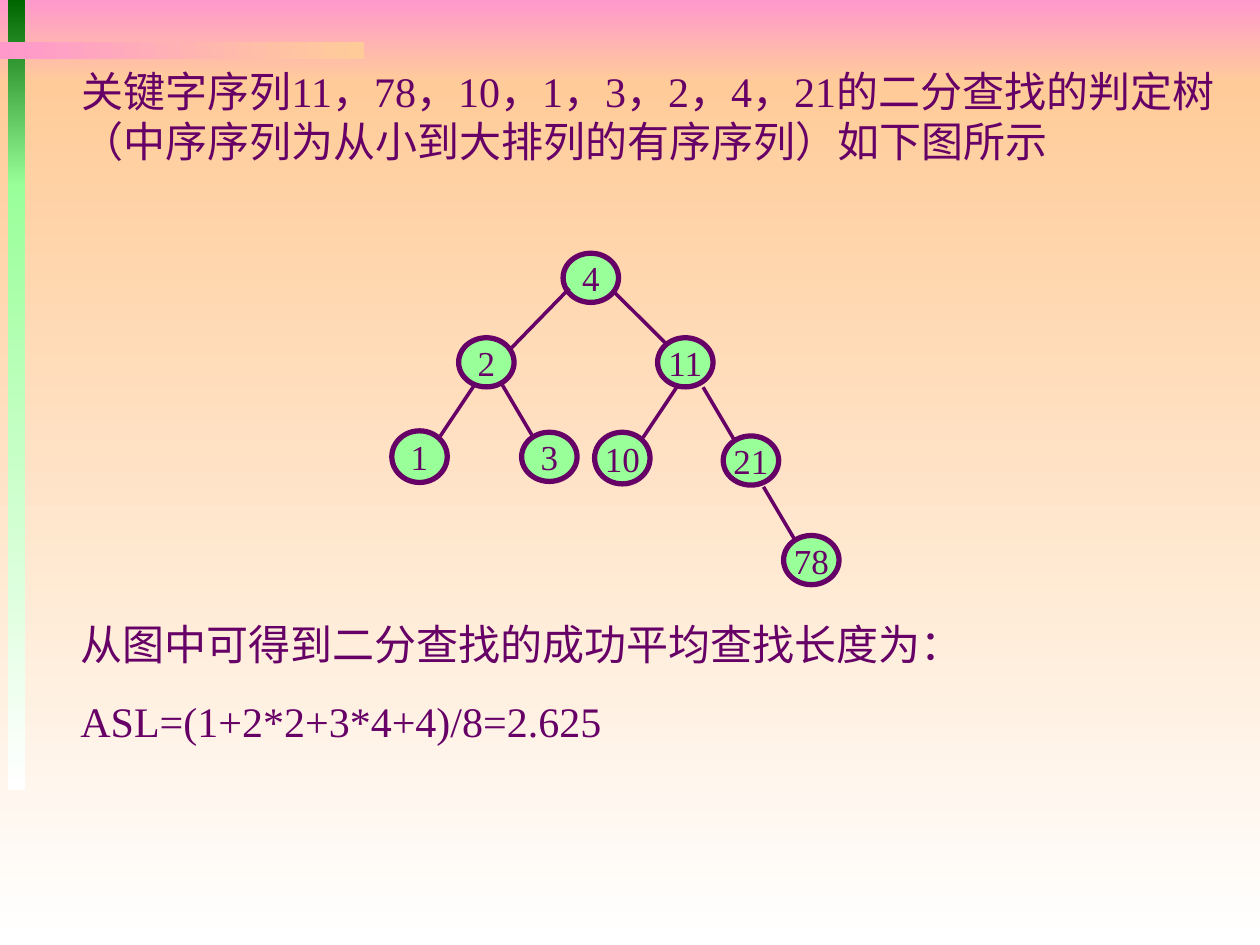
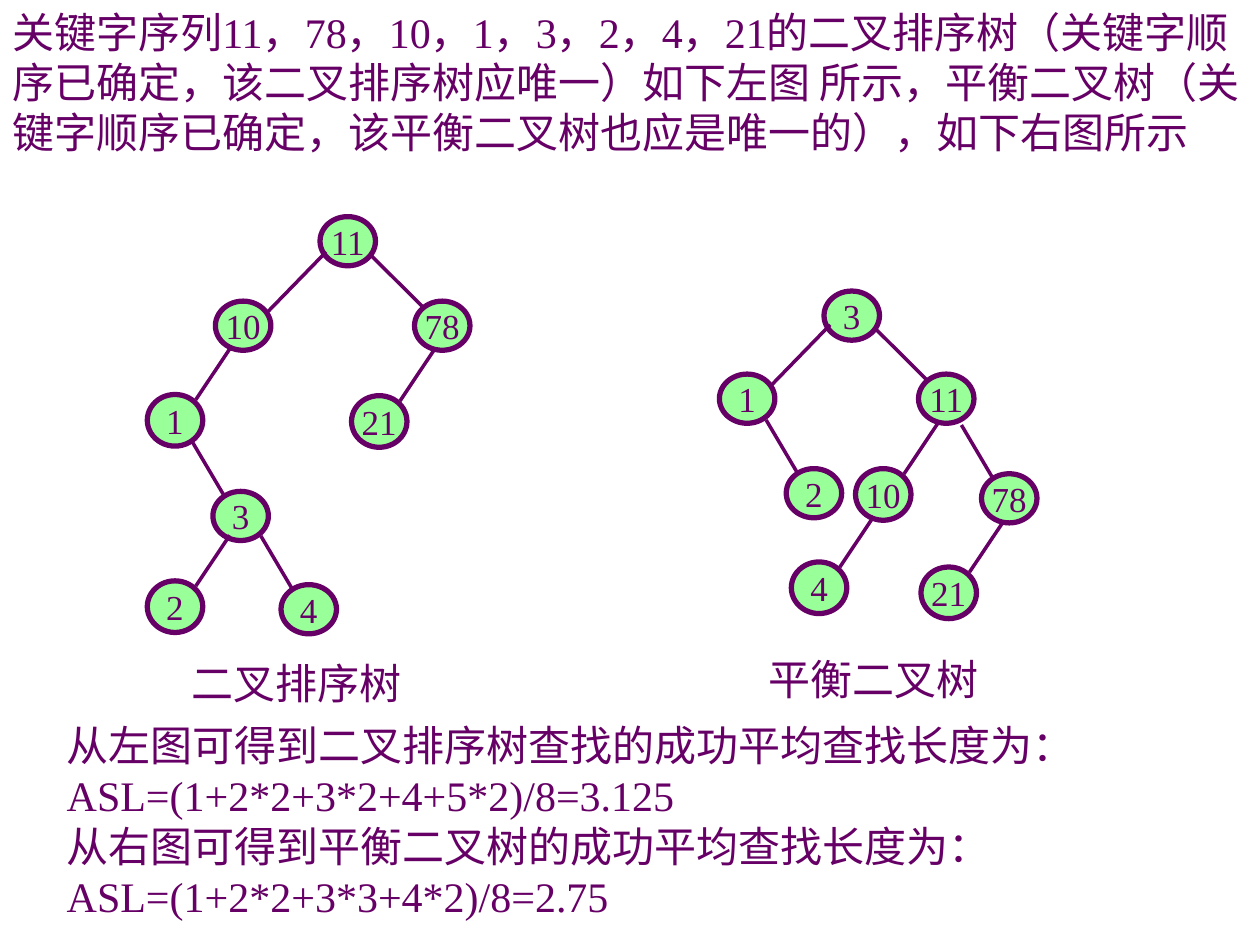
from lxml import etree
from pptx import Presentation
from pptx.dml.color import RGBColor
from pptx.enum import shapes, text
from pptx.oxml import ns
from pptx.util import Pt

COLORS = {
    "ink": "660066",
    "node": "99FF99",
    "forest": "006600",
    "pink": "FF99CC",
    "peach": "FFCC99",
    "white": "FFFFFF",
}
FONT = "Times New Roman"
DOWN, ACROSS = 270, 0
NODE_WIDTH = 31.7

# branch: node height, edge end measured from the child, edge run
BRANCHES = {
    "root": (28.1, None, None),
    "wide left": (28.1, (30.2, 5.8), (-33.1, 34)),
    "wide right": (28.1, (5, 3.6), (30, 29.9)),
    "left": (29.5, (27.7, 3), (-19.4, 29)),
    "right": (28.1, (6, 1.8), (17.5, 29.6)),
}

DECISION_TREE = [
    ("4", "root", 321.8, 144.7),
    ("2", "wide left", 262.1, 193),
    ("11", "wide right", 375.8, 193),
    ("1", "left", 223.9, 246.2),
    ("3", "right", 298.1, 247),
    ("10", "left", 339.8, 247),
    ("21", "right", 413.3, 249.1),
    ("78", "right", 447.8, 306),
]
SORT_TREE = [
    ("11", "root", 182.9, 123.8),
    ("10", "wide left", 123.1, 172.1),
    ("78", "wide right", 236.9, 172.1),
    ("1", "left", 84.2, 225.4),
    ("21", "left", 200.9, 226.1),
    ("3", "right", 121.7, 280.8),
    ("2", "left", 84.2, 331.9),
    ("4", "right", 160.6, 334.1),
]
BALANCED_TREE = [
    ("3", "root", 470.9, 166.3),
    ("1", "wide left", 411.1, 213.8),
    ("11", "wide right", 524.9, 213.8),
    ("2", "right", 449.3, 267.8),
    ("10", "left", 488.9, 267.8),
    ("78", "right", 560.9, 270.7),
    ("4", "left", 452.2, 321.1),
    ("21", "left", 526.3, 324),
]


def color(name):
    return RGBColor.from_string(COLORS[name])


class Painter:
    def __init__(self, deck):
        self.deck = deck
        self.page = None

    def new_page(self):
        self.page = self.deck.slides.add_slide(self.deck.slide_layouts[6])

    def style(self, para, size, align):
        para.alignment = align
        para.font.name = FONT
        para.font.size = Pt(size)
        para.font.color.rgb = color("ink")

    def band(self, left, top, width, height, start, end, angle=DOWN):
        band = self.page.shapes.add_shape(
            shapes.MSO_SHAPE.RECTANGLE, Pt(left), Pt(top), Pt(width), Pt(height))
        band.shadow.inherit = False
        band.line.fill.background()
        band.fill.gradient()
        band.fill.gradient_angle = angle
        for stop, name in zip(band.fill.gradient_stops, (start, end)):
            stop.color.rgb = color(name)

    def backdrop(self):
        self.band(0, 0, 720, 48, "pink", "peach")
        self.band(0, 48, 720, 492, "peach", "white")
        self.band(4.3, 0, 10, 106.5, "forest", "node")
        self.band(4.3, 105, 10, 346.5, "node", "white")
        self.band(0, 24, 208, 9.8, "pink", "peach", ACROSS)

    def text(self, left, top, width, height, lines, align=text.PP_ALIGN.LEFT, gap=0):
        box = self.page.shapes.add_textbox(Pt(left), Pt(top), Pt(width), Pt(height))
        frame = box.text_frame
        frame.word_wrap = True
        frame.auto_size = text.MSO_AUTO_SIZE.SHAPE_TO_FIT_TEXT
        frame.text = "\n".join(lines)
        for index, para in enumerate(frame.paragraphs):
            if index and gap:
                para.space_before = Pt(gap)
            self.style(para, 24, align)

    def node(self, label, left, top, height):
        node = self.page.shapes.add_shape(
            shapes.MSO_SHAPE.OVAL, Pt(left), Pt(top), Pt(NODE_WIDTH), Pt(height))
        node.shadow.inherit = False
        node.fill.solid()
        node.fill.fore_color.rgb = color("node")
        node.line.color.rgb = color("ink")
        node.line.width = Pt(3)
        frame = node.text_frame
        frame.word_wrap = False
        frame.vertical_anchor = text.MSO_ANCHOR.MIDDLE
        frame.text = label
        self.style(frame.paragraphs[0], 20, text.PP_ALIGN.CENTER)

    def edge(self, x, y, run, rise):
        edge = self.page.shapes.add_connector(
            shapes.MSO_CONNECTOR.STRAIGHT, Pt(x - run), Pt(y - rise), Pt(x), Pt(y))
        edge.line.color.rgb = color("ink")
        edge.line.width = Pt(2)
        etree.SubElement(edge._element.spPr, ns.qn("a:effectLst"))

    def tree(self, nodes):
        for label, branch, left, top in nodes:
            height, end, run = BRANCHES[branch]
            self.node(label, left, top, height)
            if end:
                self.edge(left + end[0], top + end[1], *run)


def main():
    deck = Presentation()
    deck.slide_width, deck.slide_height = Pt(720), Pt(540)
    painter = Painter(deck)
    justify = text.PP_ALIGN.JUSTIFY

    painter.new_page()
    painter.backdrop()
    painter.text(39.6, 33.8, 680.4, 65, [
        "关键字序列11，78，10，1，3，2，4，21的二分查找的判定树"
        "（中序序列为从小到大排列的有序序列）如下图所示"])
    painter.text(38.9, 350, 606, 80, [
        "从图中可得到二分查找的成功平均查找长度为：",
        "ASL=(1+2*2+3*4+4)/8=2.625"], justify, gap=15)
    painter.tree(DECISION_TREE)

    painter.new_page()
    painter.text(0, 0, 720, 122.4, [
        "关键字序列11，78，10，1，3，2，4，21的二叉排序树"
        "（关键字顺序已确定，该二叉排序树应唯一）如下左图 所示，"
        "平衡二叉树（关键字顺序已确定，该平衡二叉树也应是唯一的），如下右图所示"])
    painter.text(31, 407.5, 666, 122.4, [
        "从左图可得到二叉排序树查找的成功平均查找长度为：",
        "ASL=(1+2*2+3*2+4+5*2)/8=3.125",
        "从右图可得到平衡二叉树的成功平均查找长度为：",
        "ASL=(1+2*2+3*3+4*2)/8=2.75"], justify)
    painter.tree(SORT_TREE)
    painter.text(102.2, 372.2, 137.5, 36, ["二叉排序树"])
    painter.tree(BALANCED_TREE)
    painter.text(432, 370.1, 137.5, 36, ["平衡二叉树"])

    deck.save("out.pptx")


if __name__ == "__main__":
    main()
